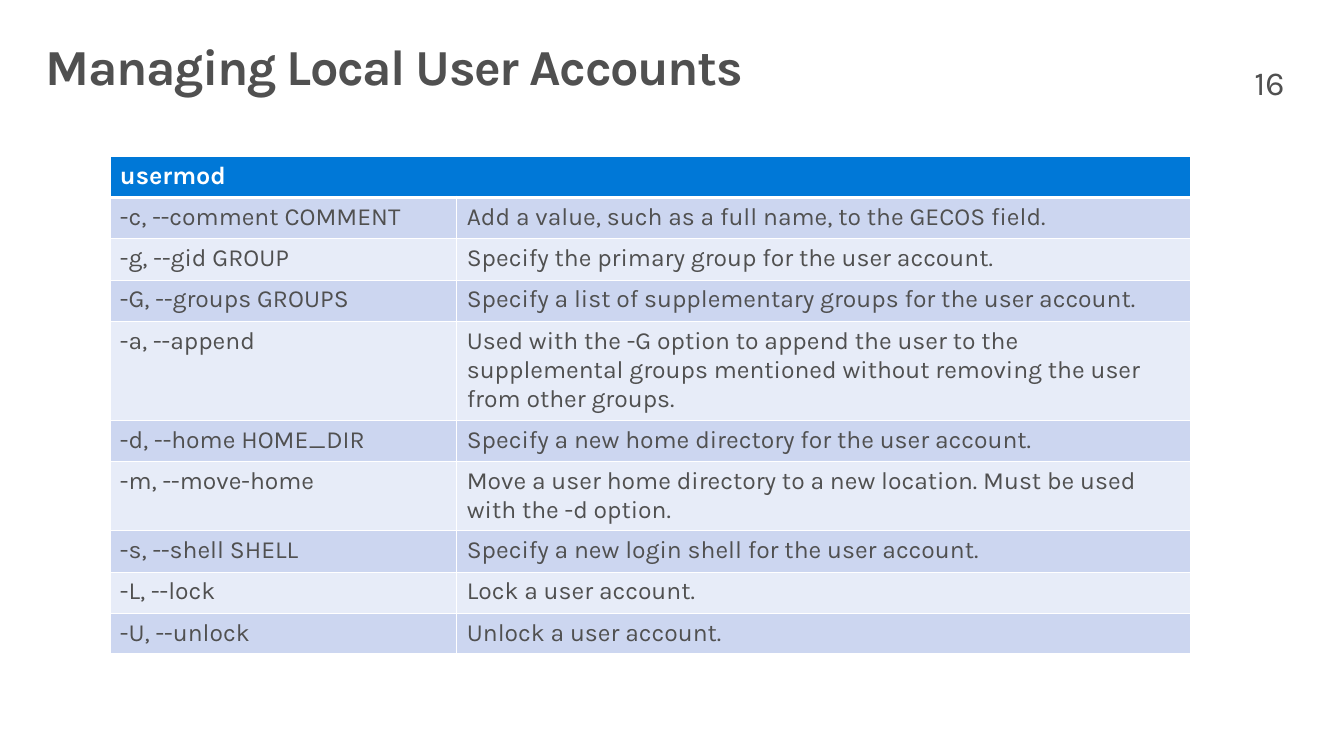
from dataclasses import dataclass

from lxml.etree import SubElement
from pptx import Presentation
from pptx.dml.color import RGBColor as Color
from pptx.oxml.ns import qn
from pptx.util import Inches, Pt


@dataclass(frozen=True)
class Theme:
    font: str = "Karla"
    text: str = "505050"
    white: str = "FFFFFF"
    header: str = "0078D7"
    bands: tuple = ("CCD6F0", "E7ECF8")
    title_size: float = 36
    number_size: float = 24
    header_size: float = 18
    body_size: float = 17.6


THEME = Theme()

OPTIONS = [
    ("-c, --comment COMMENT", "Add a value, such as a full name, to the GECOS field."),
    ("-g, --gid GROUP", "Specify the primary group for the user account."),
    ("-G, --groups GROUPS", "Specify a list of supplementary groups for the user account."),
    ("-a, --append", "Used with the -G option to append the user to the supplemental groups "
                     "mentioned without removing the user from other groups."),
    ("-d, --home HOME_DIR", "Specify a new home directory for the user account."),
    ("-m, --move-home", "Move a user home directory to a new location. "
                        "Must be used with the -d option."),
    ("-s, --shell SHELL", "Specify a new login shell for the user account."),
    ("-L, --lock", "Lock a user account."),
    ("-U, --unlock", "Unlock a user account."),
]


def add_text(para, text, size, color=THEME.text, bold=False):
    span = para.add_run()
    span.text = text
    span.font.name = THEME.font
    span.font.size = Pt(size)
    span.font.bold = bold
    span.font.color.rgb = Color.from_string(color)
    return span


def add_label(page, place, insets, text, size, bold=False, space_after=0):
    box = page.shapes.add_textbox(*map(Inches, place))
    frame = box.text_frame
    frame.word_wrap = True
    frame.margin_left = frame.margin_right = Inches(insets[0])
    frame.margin_top = frame.margin_bottom = Inches(insets[1])
    para = frame.paragraphs[0]
    para.line_spacing = 0.9
    para.space_after = Pt(space_after)
    return add_text(para, text, size, bold=bold)


def set_borders(cell, top=1, bottom=1):
    properties = cell._tc.get_or_add_tcPr()
    for side, width in (("L", 1), ("R", 1), ("T", top), ("B", bottom)):
        line = SubElement(properties, qn(f"a:ln{side}"), w=str(Pt(width)))
        fill = SubElement(line, qn("a:solidFill"))
        SubElement(fill, qn("a:srgbClr"), val=THEME.white)


def fill_cell(cell, text, size, background, color=THEME.text, bold=False, **borders):
    set_borders(cell, **borders)
    cell.fill.solid()
    cell.fill.fore_color.rgb = Color.from_string(background)
    if text:
        add_text(cell.text_frame.paragraphs[0], text, size, color, bold)


def add_option_table(page, command, options):
    place = [Inches(value) for value in (1.09, 1.55, 10.72, 4.61)]
    holder = page.shapes.add_table(len(options) + 1, 2, *place)
    table = holder.table
    for column, width in zip(table.columns, (3.44, 7.28)):
        column.width = Inches(width)
    for row in table.rows:
        row.height = Inches(0.41)
    table.rows[len(options)].height = Inches(0.29)
    holder.height = place[3]

    table.cell(0, 0).merge(table.cell(0, 1))
    for column, text in enumerate((command, "")):
        fill_cell(table.cell(0, column), text, THEME.header_size, THEME.header,
                  THEME.white, bold=True, bottom=3)
    for index, option in enumerate(options):
        for column, text in enumerate(option):
            fill_cell(table.cell(index + 1, column), text, THEME.body_size,
                      THEME.bands[index % 2], top=1 if index else 3)


def main():
    deck = Presentation()
    deck.slide_width = Inches(13.33)
    deck.slide_height = Inches(7.5)
    page = deck.slides.add_slide(deck.slide_layouts[6])
    title = add_label(page, (0.29, 0.32, 12.75, 0.98), (0.16, 0.1),
                      "Managing Local User Accounts", THEME.title_size, bold=True)
    title.font._element.set("spc", "-100")
    add_option_table(page, "usermod", OPTIONS)
    add_label(page, (12.24, 0.5, 0.89, 0.69), (0.2, 0.16), "16",
              THEME.number_size, space_after=6)
    deck.save("out.pptx")


if __name__ == "__main__":
    main()
